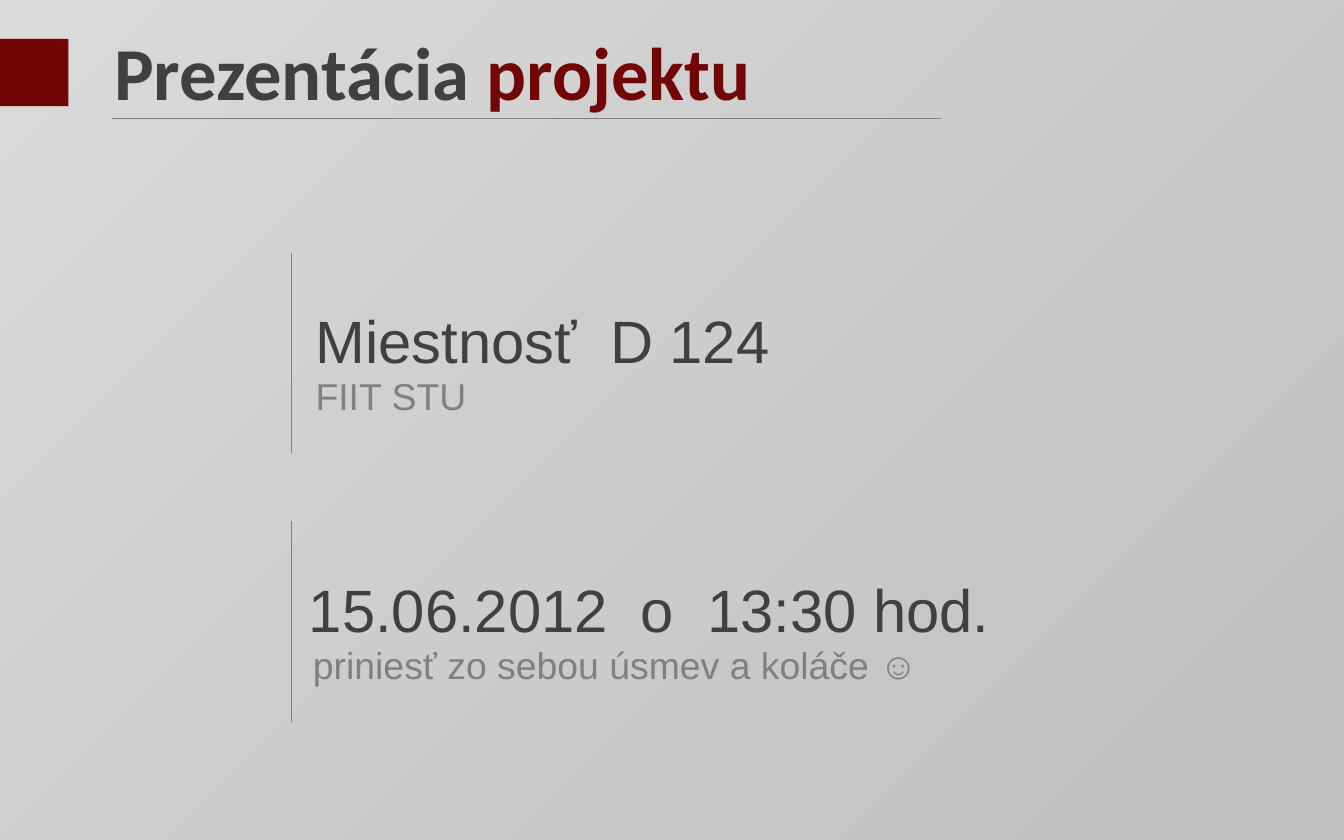
from dataclasses import dataclass

from lxml.etree import SubElement
from pptx import Presentation
from pptx.dml.color import RGBColor
from pptx.enum.shapes import MSO_CONNECTOR, MSO_SHAPE
from pptx.oxml.ns import qn
from pptx.util import Inches, Pt


@dataclass(frozen=True)
class Theme:
    dark: RGBColor = RGBColor(0x40, 0x40, 0x40)
    grey: RGBColor = RGBColor(0x80, 0x80, 0x80)
    red: RGBColor = RGBColor(0x72, 0x06, 0x06)
    bg_light: RGBColor = RGBColor(0xD9, 0xD9, 0xD9)
    bg_dark: RGBColor = RGBColor(0xBF, 0xBF, 0xBF)
    title_font: str = "Calibri"
    body_font: str = "Arial"
    title_size: int = 40
    head_size: int = 32
    note_size: int = 20


T = Theme()

TITLE = [("Prezentácia ", T.dark), ("projektu", T.red)]
# heading, its left edge, note, its left edge
DETAILS = [
    ("Miestnosť  D 124", 2.25, "FIIT STU", 2.25),
    ("15.06.2012  o  13:30 hod.", 2.2, "priniesť zo sebou úsmev a koláče ☺", 2.23),
]
FIRST_TOP, PITCH, BAR_X, BAR_HEIGHT = 1.88, 2.0, 2.17, 1.49
HEAD_OFFSET, NOTE_OFFSET = 0.33, 0.85


def add_text(slide, x, y, w, h, runs, font, size, bold=False):
    """Add a one-line text box from (text, colour) runs."""
    tf = slide.shapes.add_textbox(Inches(x), Inches(y), Inches(w), Inches(h)).text_frame
    p = tf.paragraphs[0]
    p.font.name, p.font.size, p.font.bold = font, Pt(size), bold
    for text, color in runs:
        r = p.add_run()
        r.text = text
        r.font.color.rgb = color


def add_line(slide, x1, y1, x2, y2):
    line = slide.shapes.add_connector(
        MSO_CONNECTOR.STRAIGHT, Inches(x1), Inches(y1), Inches(x2), Inches(y2))
    line.line.color.rgb = T.grey
    line.line.width = Pt(0.75)
    SubElement(line._element.spPr, qn("a:effectLst"))


def set_background(slide):
    fill = slide.background.fill
    fill.gradient()
    fill.gradient_angle = 315
    for stop, color in zip(fill.gradient_stops, (T.bg_light, T.bg_dark)):
        stop.color.rgb = color


def main():
    prs = Presentation()
    prs.slide_width, prs.slide_height = Inches(10), Inches(6.25)
    slide = prs.slides.add_slide(prs.slide_layouts[6])
    set_background(slide)

    add_text(slide, 0.75, 0.14, 5.12, 0.77, TITLE, T.title_font, T.title_size, bold=True)
    marker = slide.shapes.add_shape(
        MSO_SHAPE.RECTANGLE, 0, Inches(0.29), Inches(0.51), Inches(0.5))
    marker.shadow.inherit = False
    marker.fill.solid()
    marker.fill.fore_color.rgb = T.red
    marker.line.fill.background()
    add_line(slide, 0.83, 0.88, 7, 0.88)

    for i, (head, head_x, note, note_x) in enumerate(DETAILS):
        top = FIRST_TOP + i * PITCH
        add_line(slide, BAR_X, top, BAR_X, top + BAR_HEIGHT)
        add_text(slide, head_x, top + HEAD_OFFSET, 5.4, 0.64,
                 [(head, T.dark)], T.body_font, T.head_size)
        add_text(slide, note_x, top + NOTE_OFFSET, 5.3, 0.44,
                 [(note, T.grey)], T.body_font, T.note_size)

    prs.save("out.pptx")


if __name__ == "__main__":
    main()
